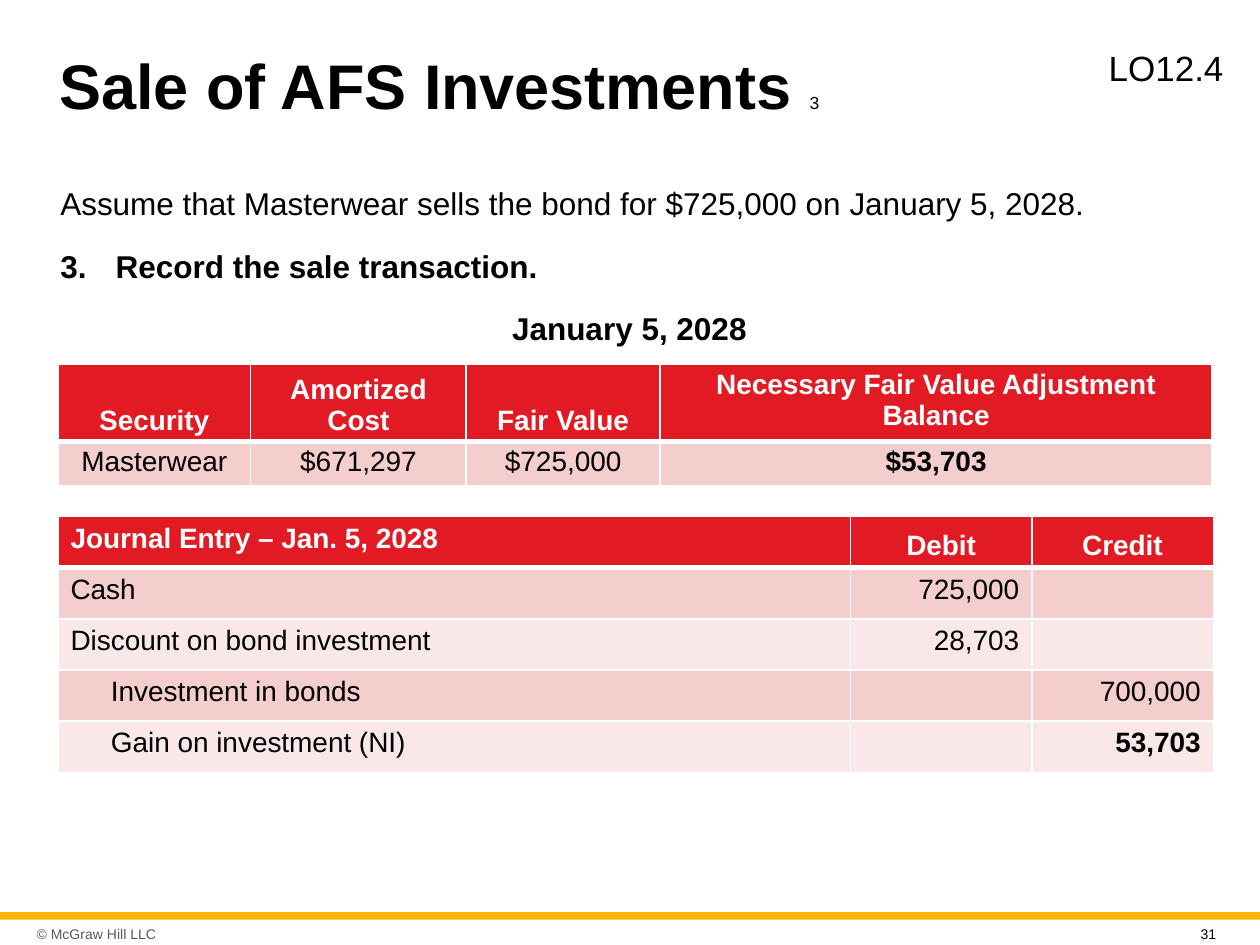
from lxml import etree
from pptx import Presentation
from pptx.dml.color import RGBColor
from pptx.enum.shapes import MSO_SHAPE
from pptx.enum.text import MSO_ANCHOR, MSO_AUTO_SIZE, PP_ALIGN
from pptx.oxml.ns import qn
from pptx.util import Inches, Pt

LEFT, CENTER, RIGHT = PP_ALIGN.LEFT, PP_ALIGN.CENTER, PP_ALIGN.RIGHT
TOP, MIDDLE, BOTTOM = MSO_ANCHOR.TOP, MSO_ANCHOR.MIDDLE, MSO_ANCHOR.BOTTOM
NO_AUTOFIT = MSO_AUTO_SIZE.NONE
RECTANGLE = MSO_SHAPE.RECTANGLE
BLACK, WHITE, GRAY = "000000", "FFFFFF", "595959"
RED, PINK, PALE_PINK, GOLD = "E21A23", "F4CDCD", "FAE8E8", "FFB600"


def color(value):
    """Return the colour for a hex string."""
    return RGBColor.from_string(value)


class SlideBuilder:
    """Hold the style and the current slide, and add elements to it."""

    font_name = "Arial"

    def __init__(self, slide):
        """Keep the slide that receives the elements."""
        self.slide = slide

    def style(self, paragraph, size, bold=False, fill=BLACK, align=LEFT):
        """Set the alignment and font of a paragraph."""
        paragraph.alignment = align
        font = paragraph.font
        font.name, font.size, font.bold = self.font_name, Pt(size), bold
        font.color.rgb = color(fill)

    def title(self, text, suffix, box):
        """Place the title with its small part number."""
        shape = self.slide.shapes.title
        shape.left, shape.top, shape.width, shape.height = map(Inches, box)
        frame = shape.text_frame
        frame.auto_size, frame.vertical_anchor = NO_AUTOFIT, MIDDLE
        paragraph = frame.paragraphs[0]
        paragraph.line_spacing = 0.9
        self.style(paragraph, 36, True)
        paragraph.add_run().text = text
        number = paragraph.add_run()
        number.text = suffix
        number.font.size, number.font.bold = Pt(10), False

    def bar(self, box, fill):
        """Add a plain filled rectangle."""
        shape = self.slide.shapes.add_shape(RECTANGLE, *map(Inches, box))
        shape.shadow.inherit = False
        shape.fill.solid()
        shape.fill.fore_color.rgb = color(fill)
        shape.line.fill.background()

    def text(self, text, box, size=18, bold=False, fill=BLACK, align=LEFT,
             anchor=TOP, inset=0.1, number=None):
        """Add a one-paragraph text box, numbered if a number is given."""
        frame = self.slide.shapes.add_textbox(*map(Inches, box)).text_frame
        frame.word_wrap, frame.vertical_anchor = True, anchor
        frame.margin_left = frame.margin_right = Inches(inset)
        paragraph = frame.paragraphs[0]
        paragraph.text = text
        if number:
            properties = paragraph._p.get_or_add_pPr()
            properties.set("marL", str(Inches(0.44)))
            properties.set("indent", str(-Inches(0.44)))
            etree.SubElement(properties, qn("a:buFont"), typeface="+mj-lt")
            etree.SubElement(properties, qn("a:buAutoNum"),
                             type="arabicPeriod", startAt=str(number))
        self.style(paragraph, size, bold, fill, align)

    def borders(self, cell, bottom):
        """Draw white cell borders with the given bottom width."""
        properties = cell._tc.get_or_add_tcPr()
        for side, width in (("L", 1), ("R", 1), ("T", 1), ("B", bottom)):
            line = etree.SubElement(properties, qn(f"a:ln{side}"), w=str(Pt(width)))
            solid = etree.SubElement(line, qn("a:solidFill"))
            etree.SubElement(solid, qn("a:srgbClr"), val=WHITE)

    def table(self, rows, box, widths, heights, aligns, top_header, inset, indented=()):
        """Add a table with a red header, banded rows and a bold last value."""
        shape = self.slide.shapes.add_table(len(rows), len(widths), *map(Inches, box))
        table = shape.table
        for column, width in zip(table.columns, widths):
            column.width = Inches(width)
        for row, height in zip(table.rows, heights):
            row.height = Inches(height)
        last = (len(rows) - 1, len(widths) - 1)
        for r, values in enumerate(rows):
            header = r == 0
            for c, value in enumerate(values):
                cell = table.cell(r, c)
                cell.margin_top = cell.margin_bottom = Inches(inset)
                cell.vertical_anchor = BOTTOM if header and c != top_header else TOP
                self.borders(cell, 3 if header else 1)
                cell.fill.solid()
                band = PINK if r % 2 else PALE_PINK
                cell.fill.fore_color.rgb = color(RED if header else band)
                paragraph = cell.text_frame.paragraphs[0]
                paragraph.text = value
                if value in indented:
                    paragraph._p.get_or_add_pPr().set("marL", str(Inches(0.32)))
                align = CENTER if header and c > 0 else aligns[c]
                self.style(paragraph, 16, header or (r, c) == last,
                           WHITE if header else BLACK, align)


def main():
    """Build and save the slide."""
    presentation = Presentation()
    presentation.slide_width, presentation.slide_height = Inches(10), Inches(7.5)
    slide = presentation.slides.add_slide(presentation.slide_layouts[5])
    builder = SlideBuilder(slide)

    builder.bar((0, 7.24, 10, 0.06), GOLD)
    builder.text("© McGraw Hill LLC", (0.24, 7.29, 1.35, 0.24), 8, fill=GRAY,
                 anchor=MIDDLE, inset=0.05)
    builder.title("Sale of AFS Investments ", "3", (0.37, 0.21, 7.9, 0.99))
    builder.text("LO12.4", (8.7, 0.32, 1.14, 0.41), 20)
    builder.text("Assume that Masterwear sells the bond for $725,000 on January 5, 2028.",
                 (0.38, 1.41, 9.25, 0.41))
    builder.text("Record the sale transaction.", (0.38, 1.91, 9.25, 0.42),
                 bold=True, number=3)
    builder.text("January 5, 2028", (3.89, 2.4, 2.21, 0.37), bold=True, align=CENTER)

    securities = [
        ("Security", "Amortized Cost", "Fair Value",
         "Necessary Fair Value Adjustment Balance"),
        ("Masterwear", "$671,297", "$725,000", "$53,703"),
    ]
    builder.table(securities, (0.46, 2.89, 9.17, 0.96), (1.53, 1.71, 1.54, 4.38),
                  (0.61, 0.35), [CENTER] * 4, top_header=3, inset=0.04)

    credits = ("Investment in bonds", "Gain on investment (NI)")
    journal = [
        ("Journal Entry – Jan. 5, 2028", "Debit", "Credit"),
        ("Cash", "725,000", ""),
        ("Discount on bond investment", "28,703", ""),
        (credits[0], "", "700,000"),
        (credits[1], "", "53,703"),
    ]
    builder.table(journal, (0.46, 4.1, 9.17, 2.03), (6.29, 1.44, 1.44),
                  [2.03 / len(journal)] * len(journal), (LEFT, RIGHT, RIGHT),
                  top_header=0, inset=0.05, indented=credits)

    builder.text("31", (9.43, 7.3, 0.39, 0.18), 8)
    presentation.save("out.pptx")


if __name__ == "__main__":
    main()
